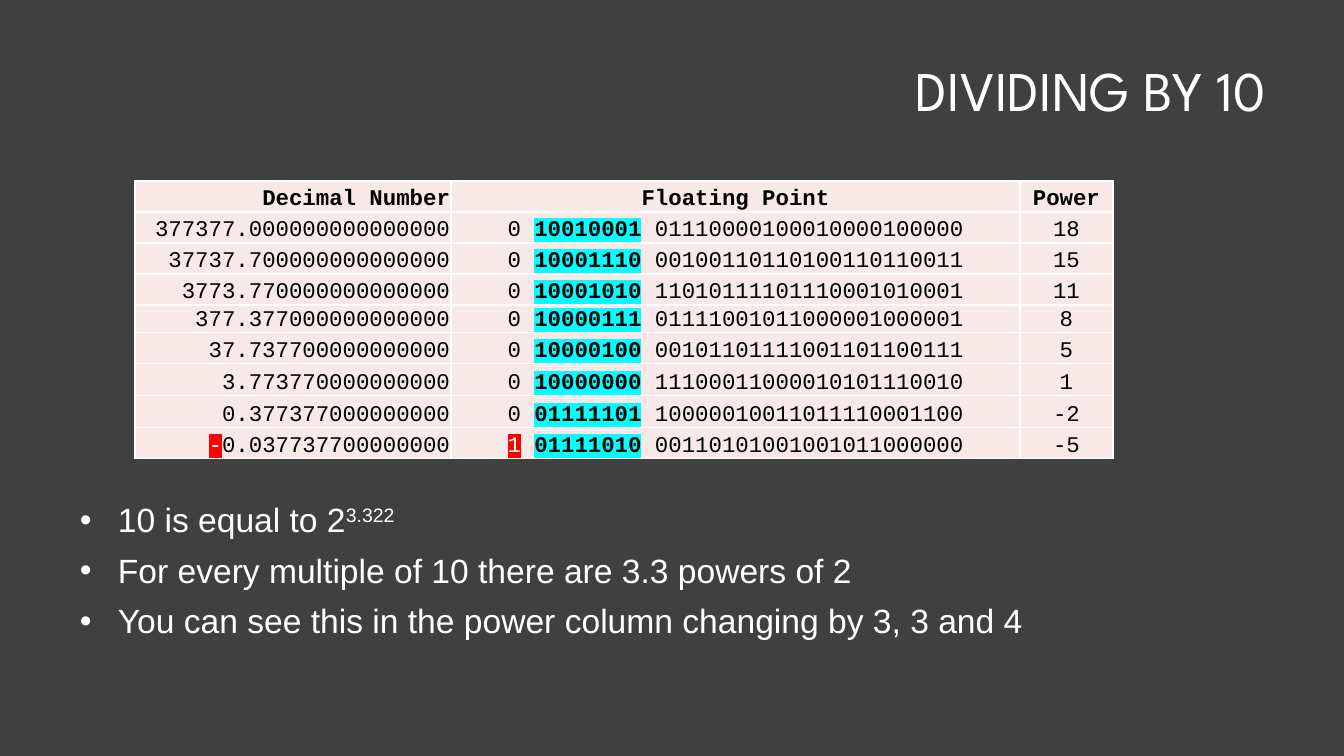
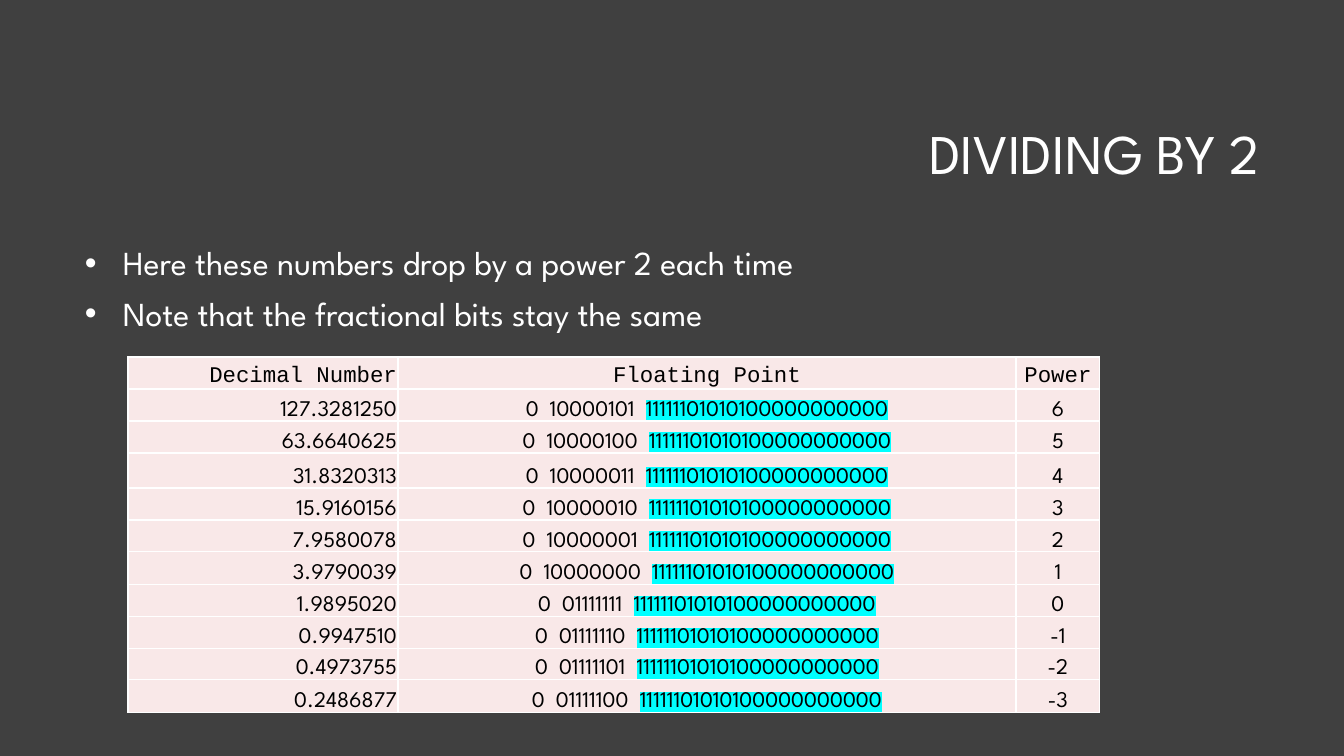
from lxml.etree import SubElement
from pptx import Presentation
from pptx.dml.color import RGBColor as Color
from pptx.enum.text import MSO_ANCHOR as Anchor, PP_ALIGN as Align
from pptx.oxml.ns import qn
from pptx.util import Emu, Pt

WIDTH, HEIGHT = 1344, 756
SCALE = 12192000 / WIDTH
COLORS = {
    "background": "404040",
    "light": "FFFFFF",
    "dark": "000000",
    "cell": "F9E8E8",
    "marked": "00FFFF",
    "negative": "FF0000",
}
SANS, MONO, DISPLAY = "Arial", "Courier New", "League Spartan"
HEADINGS = ("Decimal Number", "Floating Point", "Power")
COLUMN_ALIGNS = (Align.RIGHT, Align.CENTER, Align.CENTER)

TENTHS = [
    ("377377.000000000000000", "10010001", "01110000100010000100000", "18"),
    ("37737.700000000000000", "10001110", "00100110110100110110011", "15"),
    ("3773.770000000000000", "10001010", "11010111101110001010001", "11"),
    ("377.377000000000000", "10000111", "01111001011000001000001", "8"),
    ("37.737700000000000", "10000100", "00101101111001101100111", "5"),
    ("3.773770000000000", "10000000", "11100011000010101110010", "1"),
    ("0.377377000000000", "01111101", "10000010011011110001100", "-2"),
    ("-0.037737700000000", "01111010", "00110101001001011000000", "-5"),
]
HALVES = [
    ("127.3281250", "10000101", "6"),
    ("63.6640625", "10000100", "5"),
    ("31.8320313", "10000011", "4"),
    ("15.9160156", "10000010", "3"),
    ("7.9580078", "10000001", "2"),
    ("3.9790039", "10000000", "1"),
    ("1.9895020", "01111111", "0"),
    ("0.9947510", "01111110", "-1"),
    ("0.4973755", "01111101", "-2"),
    ("0.2486877", "01111100", "-3"),
]
HALVES_FRACTION = "11111101010100000000000"


def px(length):
    return Emu(round(length * SCALE))


def set_formats(target, formats):
    for name, value in formats.items():
        setattr(target, name, value)


class Deck:
    title_format = {"size": Pt(40), "name": DISPLAY}
    body_size = Pt(24)
    cell_size = Pt(16)
    cell_format = {
        "margin_left": px(1),
        "margin_right": px(1),
        "margin_top": px(1),
        "margin_bottom": 0,
        "vertical_anchor": Anchor.BOTTOM,
    }

    def __init__(self):
        self.presentation = Presentation()
        set_formats(self.presentation, {"slide_width": px(WIDTH), "slide_height": px(HEIGHT)})
        self.slide = None

    def add_slide(self):
        self.slide = self.presentation.slides.add_slide(self.presentation.slide_layouts[6])
        fill = self.slide.background.fill
        fill.solid()
        fill.fore_color.rgb = Color.from_string(COLORS["background"])

    def add_run(self, paragraph, text, formats, color, highlight=None, baseline=None):
        run = paragraph.add_run()
        run.text = text
        set_formats(run.font, formats)
        run.font.color.rgb = Color.from_string(COLORS[color])
        properties = run._r.get_or_add_rPr()
        if baseline:
            properties.set("baseline", str(baseline))
        if highlight:
            mark = SubElement(properties, qn("a:highlight"))
            SubElement(mark, qn("a:srgbClr"), val=COLORS[highlight])
            properties.find(qn("a:solidFill")).addnext(mark)

    def add_text_frame(self, box, anchor):
        shape = self.slide.shapes.add_textbox(*map(px, box))
        set_formats(shape.text_frame, {"word_wrap": True, "vertical_anchor": anchor})
        return shape.text_frame

    def add_title(self, box, text):
        paragraph = self.add_text_frame(box, Anchor.MIDDLE).paragraphs[0]
        set_formats(paragraph, {"alignment": Align.RIGHT, "line_spacing": 0.9})
        self.add_run(paragraph, text, self.title_format, "light")

    def add_bullets(self, box, bullets, font):
        frame = self.add_text_frame(box, Anchor.TOP)
        for index, (text, superscript) in enumerate(bullets):
            paragraph = frame.add_paragraph() if index else frame.paragraphs[0]
            set_formats(paragraph, {"line_spacing": 0.9, "space_before": Pt(10)})
            properties = paragraph._p.get_or_add_pPr()
            properties.set("marL", str(px(38)))
            properties.set("indent", str(px(-38)))
            SubElement(properties, qn("a:buFont"), typeface=SANS)
            SubElement(properties, qn("a:buChar"), char="•")
            formats = {"size": self.body_size, "name": font}
            self.add_run(paragraph, text, formats, "light")
            if superscript:
                self.add_run(paragraph, superscript, formats, "light", baseline=30000)

    def add_borders(self, cell):
        properties = cell._tc.get_or_add_tcPr()
        for index, side in enumerate("LRTB"):
            line = SubElement(properties, qn(f"a:ln{side}"), w=str(Pt(1)))
            fill = SubElement(line, qn("a:solidFill"))
            SubElement(fill, qn("a:srgbClr"), val=COLORS["light"])
            properties.insert(index, line)

    def fill_cell(self, cell, runs, align, font, bold):
        set_formats(cell, self.cell_format)
        cell.fill.solid()
        cell.fill.fore_color.rgb = Color.from_string(COLORS["cell"])
        self.add_borders(cell)
        paragraph = cell.text_frame.paragraphs[0]
        paragraph.alignment = align
        for text, highlight, strong in runs:
            formats = {"size": self.cell_size, "name": font, "bold": bold or strong}
            color = "light" if highlight == "negative" else "dark"
            self.add_run(paragraph, text, formats, color, highlight)

    def add_number_table(self, left, top, widths, heights, rows, font, bold_headings):
        box = map(px, (left, top, sum(widths), sum(heights)))
        table = self.slide.shapes.add_table(len(heights), len(widths), *box).table
        set_formats(table, {"first_row": False, "horz_banding": False})
        for column, width in zip(table.columns, widths):
            column.width = px(width)
        headings = [[plain(text)] for text in HEADINGS]
        for index, (height, cells) in enumerate(zip(heights, [headings] + rows)):
            table.rows[index].height = px(height)
            for column, (runs, align) in enumerate(zip(cells, COLUMN_ALIGNS)):
                self.fill_cell(table.cell(index, column), runs, align,
                               font if index else MONO, bold_headings and not index)


def plain(text):
    return text, None, False


def tenth_row(decimal, exponent, fraction, power):
    bits = [(exponent, "marked", True), plain(" " + fraction)]
    if decimal.startswith("-"):
        number = [("-", "negative", False), plain(decimal[1:])]
        sign = [("1", "negative", False), plain(" ")]
    else:
        number, sign = [plain(decimal)], [plain("0 ")]
    return [number, sign + bits, [plain(power)]]


def half_row(decimal, exponent, power):
    bits = [plain(f"0  {exponent}  "), (HALVES_FRACTION, "marked", False)]
    return [[plain(decimal)], bits, [plain(power)]]


def main():
    deck = Deck()

    deck.add_slide()
    deck.add_bullets((70, 499, 1208, 162), [
        ("10 is equal to 2", "3.322"),
        ("For every multiple of 10 there are 3.3 powers of 2", None),
        ("You can see this in the power column changing by 3, 3 and 4", None),
    ], SANS)
    deck.add_title((68, 30, 1208, 126), "DIVIDING BY 10")
    deck.add_number_table(135, 181, (316, 569, 93), (31, 31, 31, 31, 27, 31, 32, 32, 31),
                          [tenth_row(*row) for row in TENTHS], MONO, True)

    deck.add_slide()
    deck.add_bullets((75, 242, 872, 444), [
        ("Here these numbers drop by a power 2 each time", None),
        ("Note that the fractional bits stay the same", None),
    ], DISPLAY)
    deck.add_title((320, 85, 950, 142), "DIVIDING BY 2")
    deck.add_number_table(128, 357, (270, 618, 84), (32, 32, 32, 35, 32, 32, 33, 32, 32, 31, 33),
                          [half_row(*row) for row in HALVES], DISPLAY, False)

    deck.presentation.save("out.pptx")


if __name__ == "__main__":
    main()
